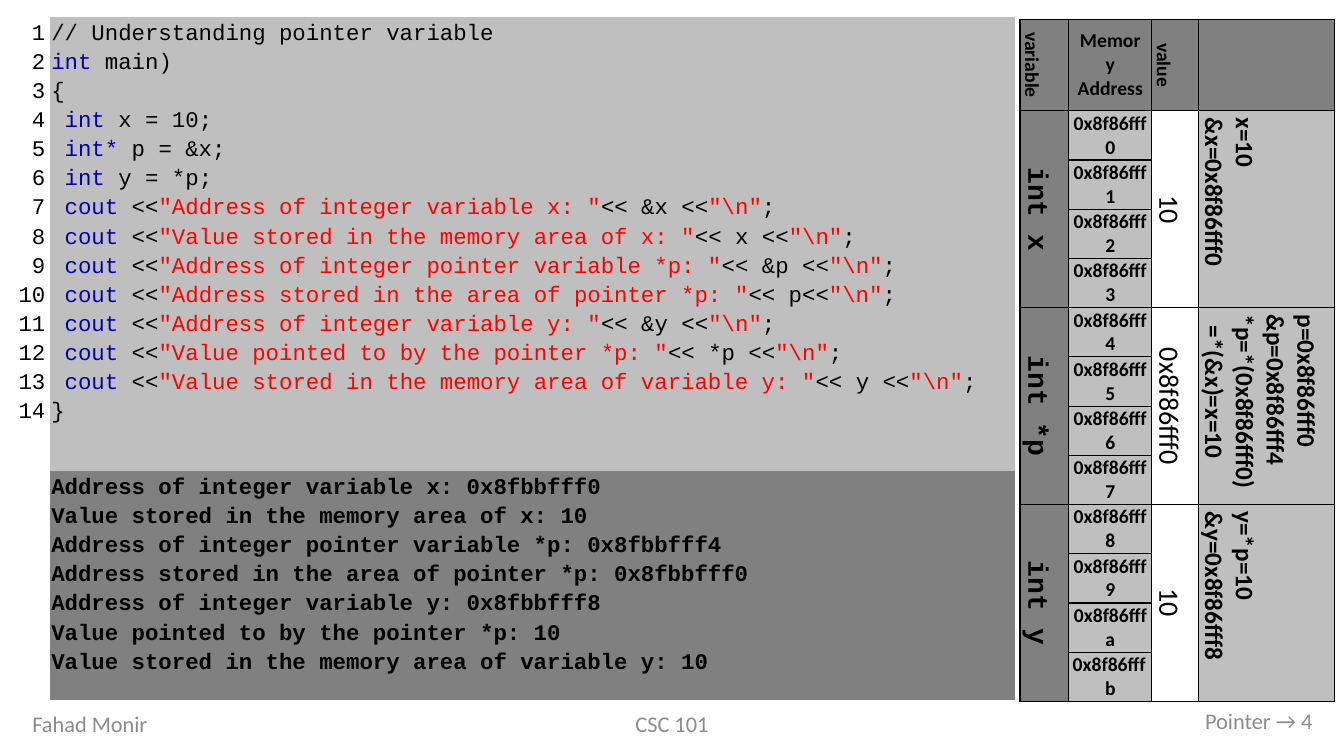
from lxml import etree
from pptx import Presentation
from pptx import util as u
from pptx.dml import color
from pptx.enum import text
from pptx.oxml import ns

BLACK = color.RGBColor(0x00, 0x00, 0x00)
BLUE = color.RGBColor(0x00, 0x00, 0xB0)
RED = color.RGBColor(0xFF, 0x00, 0x00)
LIGHT = color.RGBColor(0xBF, 0xBF, 0xBF)
DARK = color.RGBColor(0x80, 0x80, 0x80)
FOOTER_GRAY = color.RGBColor(0x8C, 0x8C, 0x8C)

PLAIN_STYLE = "{2D5ABB26-0587-4C30-8999-92F81FD0307C}"
CENTER, RIGHT, LEFT = text.PP_ALIGN.CENTER, text.PP_ALIGN.RIGHT, text.PP_ALIGN.LEFT

CODE = {"name": "Courier New", "size": u.Pt(16), "bold": False}
OUTPUT = {**CODE, "bold": True}
HEADER = {"name": "Calibri", "size": u.Pt(14), "bold": True}
VARIABLE = {"name": "Courier New", "size": u.Pt(20), "bold": True}
VALUE = {"name": "Calibri", "size": u.Pt(20), "bold": False}
EXPLANATION = {"name": "Calibri", "size": u.Pt(18), "bold": True}
FOOTER = {"name": "Calibri", "size": u.Pt(16), "bold": False}

DECLARATIONS = [
    [("// Understanding pointer variable", BLACK)],
    [("int", BLUE), (" main)", BLACK)],
    [("{", BLACK)],
    [(" ", BLACK), ("int", BLUE), (" x = 10;", BLACK)],
    [(" ", BLACK), ("int*", BLUE), (" p = &x;", BLACK)],
    [(" ", BLACK), ("int", BLUE), (" y = *p;", BLACK)],
]
PRINTS = [
    ("Address of integer variable x: ", " &x ", "0x8fbbfff0"),
    ("Value stored in the memory area of x: ", " x ", "10"),
    ("Address of integer pointer variable *p: ", " &p ", "0x8fbbfff4"),
    ("Address stored in the area of pointer *p: ", " p", "0x8fbbfff0"),
    ("Address of integer variable y: ", " &y ", "0x8fbbfff8"),
    ("Value pointed to by the pointer *p: ", " *p ", "10"),
    ("Value stored in the memory area of variable y: ", " y ", "10"),
]
VARIABLES = [
    ("int x", "10", ["x=10", "&x=0x8f86fff0"]),
    ("int *p", "0x8f86fff0",
     ["p=0x8f86fff0", "&p=0x8f86fff4", "*p=*(0x8f86fff0)", "=*(&x)=x=10"]),
    ("int y", "10", ["y=*p=10", "&y=0x8f86fff8"]),
]
CELLS_PER_VARIABLE = 4
EXPLANATION_LINES = 4


def print_line(message, expression):
    return [(" ", BLACK), ("cout", BLUE), (" <<", BLACK), (f'"{message}"', RED),
            (f"<<{expression}<<", BLACK), ('"\\n"', RED), (";", BLACK)]


def write_lines(frame, lines, font, align=LEFT, spacing=None, ink=BLACK):
    for index, line in enumerate(lines):
        paragraph = frame.paragraphs[0] if index == 0 else frame.add_paragraph()
        paragraph.alignment = align
        paragraph.line_spacing = spacing
        runs = [(line, ink)] if isinstance(line, str) else line
        for words, run_ink in runs:
            run = paragraph.add_run()
            run.text = words
            run.font.color.rgb = run_ink
            for attribute, setting in font.items():
                setattr(run.font, attribute, setting)


def set_margins(cell, left, top, right, bottom):
    margins = {"left": left, "top": top, "right": right, "bottom": bottom}
    for side, points in margins.items():
        setattr(cell, f"margin_{side}", u.Pt(points))


def add_plain_table(slide, box, widths, heights):
    left, top, width, height = (u.Pt(length) for length in box)
    frame = slide.shapes.add_table(len(heights), len(widths), left, top, width, height)
    table = frame.table
    table.first_row = table.horz_banding = False
    next(frame.element.iter(ns.qn("a:tableStyleId"))).text = PLAIN_STYLE
    for column, points in zip(table.columns, widths):
        column.width = u.Pt(points)
    for row, points in zip(table.rows, heights):
        row.height = u.Pt(points)
    return table


def fill_cell(cell, fill):
    if fill is None:
        cell.fill.background()
    else:
        cell.fill.solid()
        cell.fill.fore_color.rgb = fill


def add_borders(cell):
    properties = cell._tc.get_or_add_tcPr()
    for side in ("lnL", "lnR", "lnT", "lnB"):
        line = etree.SubElement(properties, ns.qn(f"a:{side}"), w=str(u.Pt(1)))
        solid = etree.SubElement(line, ns.qn("a:solidFill"))
        etree.SubElement(solid, ns.qn("a:srgbClr"), val=str(BLACK))


def turn_text(cell):
    cell._tc.get_or_add_tcPr().set("vert", "vert")


def add_program(slide, box):
    width, height = box[2:]
    number_width, output_height = 24, 163.5
    table = add_plain_table(slide, box, [number_width, width - number_width],
                            [height - output_height, output_height])
    code = DECLARATIONS + [print_line(*entry[:2]) for entry in PRINTS] + [[("}", BLACK)]]
    numbers = [str(index + 1) for index in range(len(code))]
    output = [message + printed for message, _, printed in PRINTS]
    parts = [
        (0, 0, numbers, CODE, RIGHT, None, 3.6),
        (0, 1, code, CODE, LEFT, LIGHT, 0.7),
        (1, 0, [], CODE, LEFT, None, 0.7),
        (1, 1, output, OUTPUT, LEFT, DARK, 0.7),
    ]
    for row, column, lines, font, align, fill, right_margin in parts:
        cell = table.cell(row, column)
        set_margins(cell, 0.7, 0.7, right_margin, 0.7)
        fill_cell(cell, fill)
        write_lines(cell.text_frame, lines, font, align, 1.15)


def explain(cell, lines):
    write_lines(cell.text_frame, lines, EXPLANATION)
    paragraphs = cell.text_frame.paragraphs
    missing = EXPLANATION_LINES - len(lines)
    if missing:
        paragraphs[-1].space_after = u.Pt(22 * missing)
    else:
        paragraphs[-1]._p.get_or_add_pPr().set("marL", str(u.Pt(8)))


def add_memory_map(slide, box):
    header_height = 65.5
    address_count = CELLS_PER_VARIABLE * len(VARIABLES)
    address_height = (box[3] - header_height) / address_count
    table = add_plain_table(slide, box, [34.9, 59.2, 33.3, 97.2],
                            [header_height] + [address_height] * address_count)
    for row in range(address_count + 1):
        for column, body_fill in enumerate([DARK, LIGHT, None, LIGHT]):
            cell = table.cell(row, column)
            side = 1.4 if row and column == 1 else 5
            set_margins(cell, side, 0, side, 0)
            cell.vertical_anchor = text.MSO_ANCHOR.MIDDLE
            add_borders(cell)
            fill_cell(cell, body_fill if row else DARK)
            if column != 1:
                turn_text(cell)

    for column, lines in enumerate([["variable"], ["Memory", "Address"], ["value"]]):
        write_lines(table.cell(0, column).text_frame, lines, HEADER, CENTER)
    for index in range(address_count):
        write_lines(table.cell(index + 1, 1).text_frame, [f"0x8f86fff{index:x}"],
                    HEADER, CENTER)
    for index, (variable, value, explanation) in enumerate(VARIABLES):
        first = 1 + index * CELLS_PER_VARIABLE
        for column in (0, 2, 3):
            last = table.cell(first + CELLS_PER_VARIABLE - 1, column)
            table.cell(first, column).merge(last)
        write_lines(table.cell(first, 0).text_frame, [variable], VARIABLE, CENTER)
        write_lines(table.cell(first, 2).text_frame, [value], VALUE, CENTER)
        explain(table.cell(first, 3), explanation)


def add_footer(slide, box, words, align):
    frame = slide.shapes.add_textbox(*(u.Pt(length) for length in box)).text_frame
    frame.word_wrap = True
    frame.vertical_anchor = text.MSO_ANCHOR.MIDDLE
    write_lines(frame, [words], FOOTER, align, ink=FOOTER_GRAY)


def main():
    presentation = Presentation()
    presentation.slide_width = u.Pt(960)
    presentation.slide_height = u.Pt(540)
    slide = presentation.slides.add_slide(presentation.slide_layouts[6])
    add_program(slide, (12, 12, 713, 488))
    add_memory_map(slide, (728.6, 13.7, 224.6, 487.5))
    add_footer(slide, (16, 502.5, 216, 29), "Fahad Monir", LEFT)
    add_footer(slide, (318, 502.5, 324, 29), "CSC 101", CENTER)
    add_footer(slide, (728.6, 500.5, 216, 29), "Pointer → 4", RIGHT)
    presentation.save("out.pptx")


if __name__ == "__main__":
    main()
